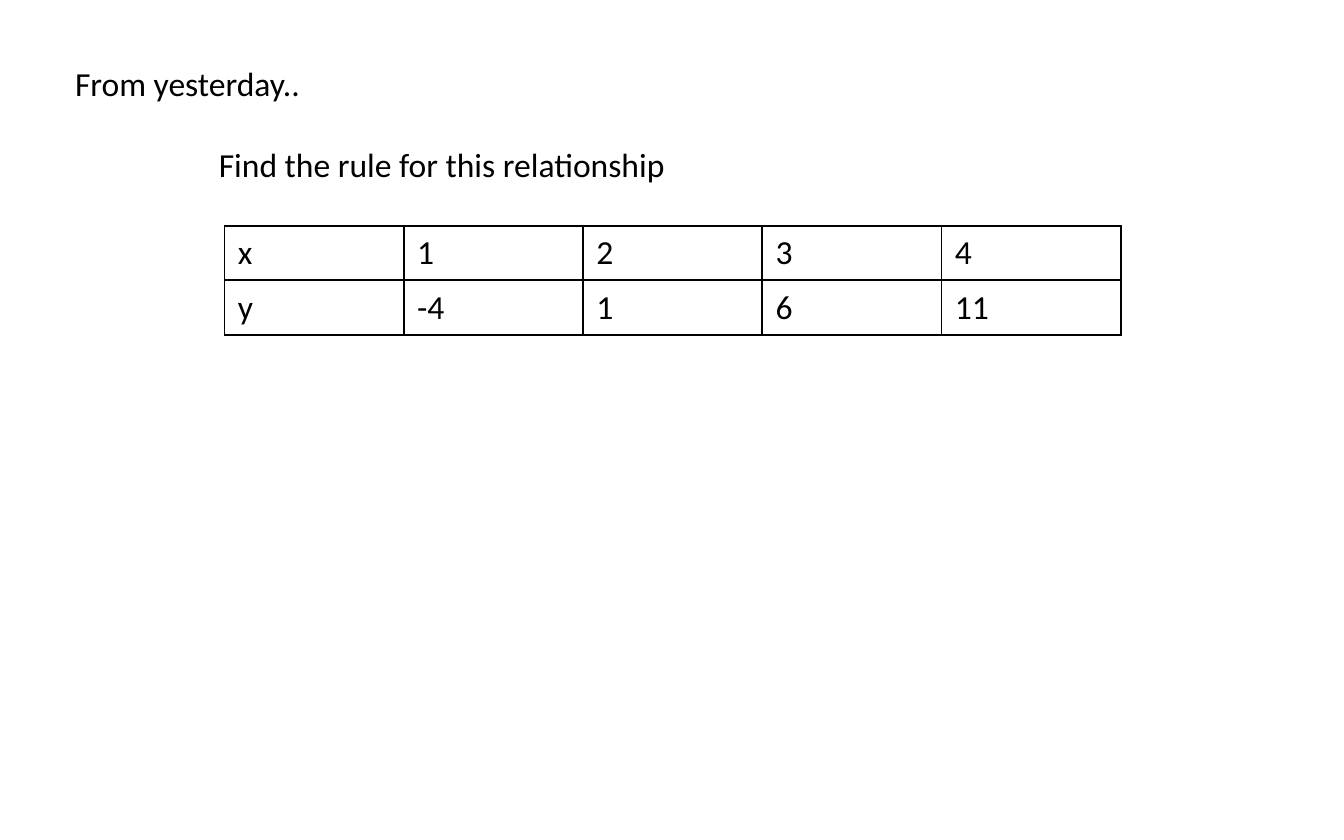
"""Build a slide that asks for the rule behind a table of x and y values."""
from dataclasses import dataclass

from lxml.etree import SubElement
from pptx import Presentation
from pptx.dml.color import RGBColor
from pptx.enum.text import MSO_AUTO_SIZE
from pptx.oxml.ns import qn
from pptx.util import Inches, Pt


@dataclass(frozen=True)
class Theme:
    font: str = "Calibri"
    ink: str = "000000"
    size: int = 18
    border: int = 1


class SlideBuilder:
    def __init__(self, slide, theme):
        self.slide = slide
        self.theme = theme

    def add_wording(self, frame, wording):
        run = frame.paragraphs[0].add_run()
        run.text = wording
        run.font.name = self.theme.font
        run.font.size = Pt(self.theme.size)
        run.font.color.rgb = RGBColor.from_string(self.theme.ink)

    def add_text(self, wording, left, top, width, height):
        box = self.slide.shapes.add_textbox(
            Inches(left), Inches(top), Inches(width), Inches(height))
        box.text_frame.word_wrap = True
        box.text_frame.auto_size = MSO_AUTO_SIZE.SHAPE_TO_FIT_TEXT
        self.add_wording(box.text_frame, wording)

    def outline(self, cell):
        properties = cell._tc.get_or_add_tcPr()
        for side in ("a:lnL", "a:lnR", "a:lnT", "a:lnB"):
            line = SubElement(properties, qn(side), w=str(Pt(self.theme.border)))
            fill = SubElement(line, qn("a:solidFill"))
            SubElement(fill, qn("a:srgbClr"), val=self.theme.ink)

    def add_table(self, rows, left, top, width, height):
        table = self.slide.shapes.add_table(
            len(rows), len(rows[0]),
            Inches(left), Inches(top), Inches(width), Inches(height)).table
        table.first_row = False
        table.horz_banding = False
        for row, values in zip(table.rows, rows):
            for cell, value in zip(row.cells, values):
                self.add_wording(cell.text_frame, value)
                self.outline(cell)
                cell.fill.background()


def main():
    deck = Presentation()
    deck.slide_width = Inches(10)
    deck.slide_height = Inches(6.25)
    builder = SlideBuilder(deck.slides.add_slide(deck.slide_layouts[6]), Theme())

    relationship = [
        ("x", "1", "2", "3", "4"),
        ("y", "-4", "1", "6", "11"),
    ]
    builder.add_table(relationship, 1.67, 1.68, 6.67, 0.81)
    builder.add_text("Find the rule for this relationship", 1.53, 1.02, 4.87, 0.4)
    builder.add_text("From yesterday..", 0.46, 0.42, 5.68, 0.4)

    deck.save("out.pptx")


if __name__ == "__main__":
    main()
